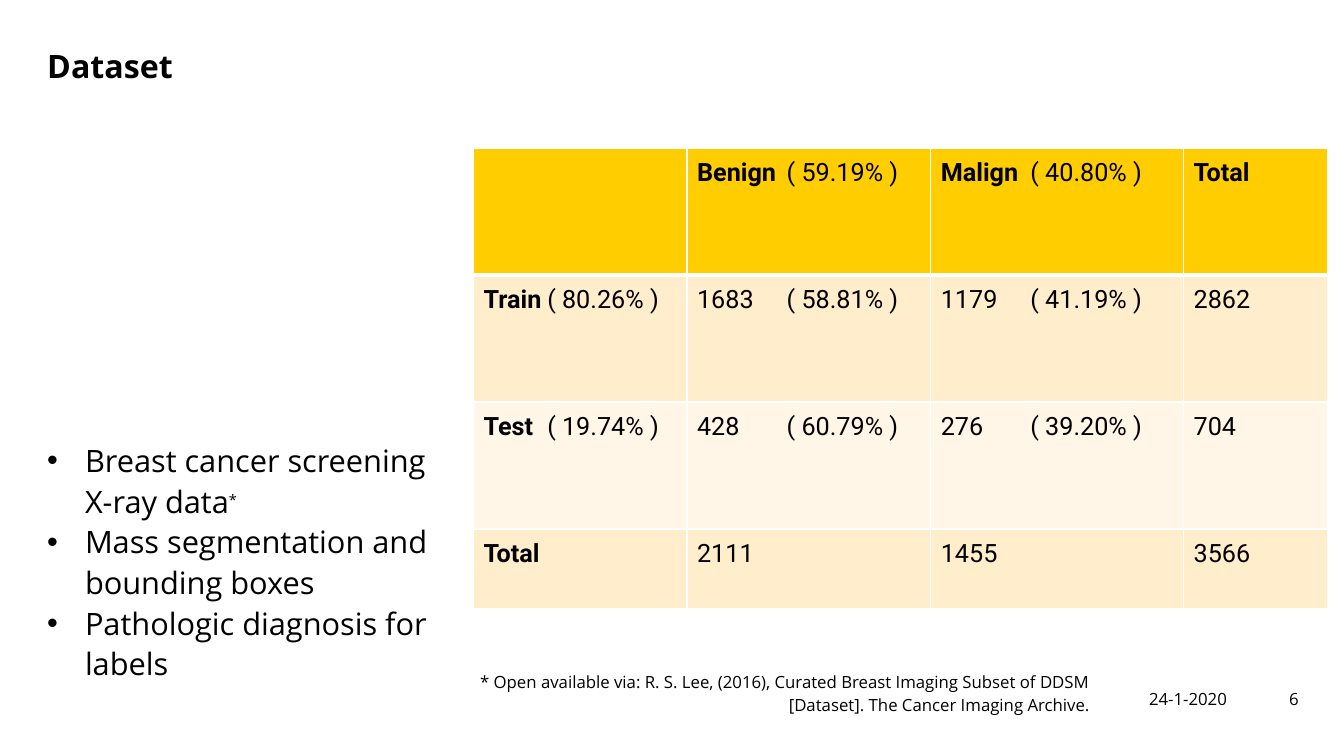
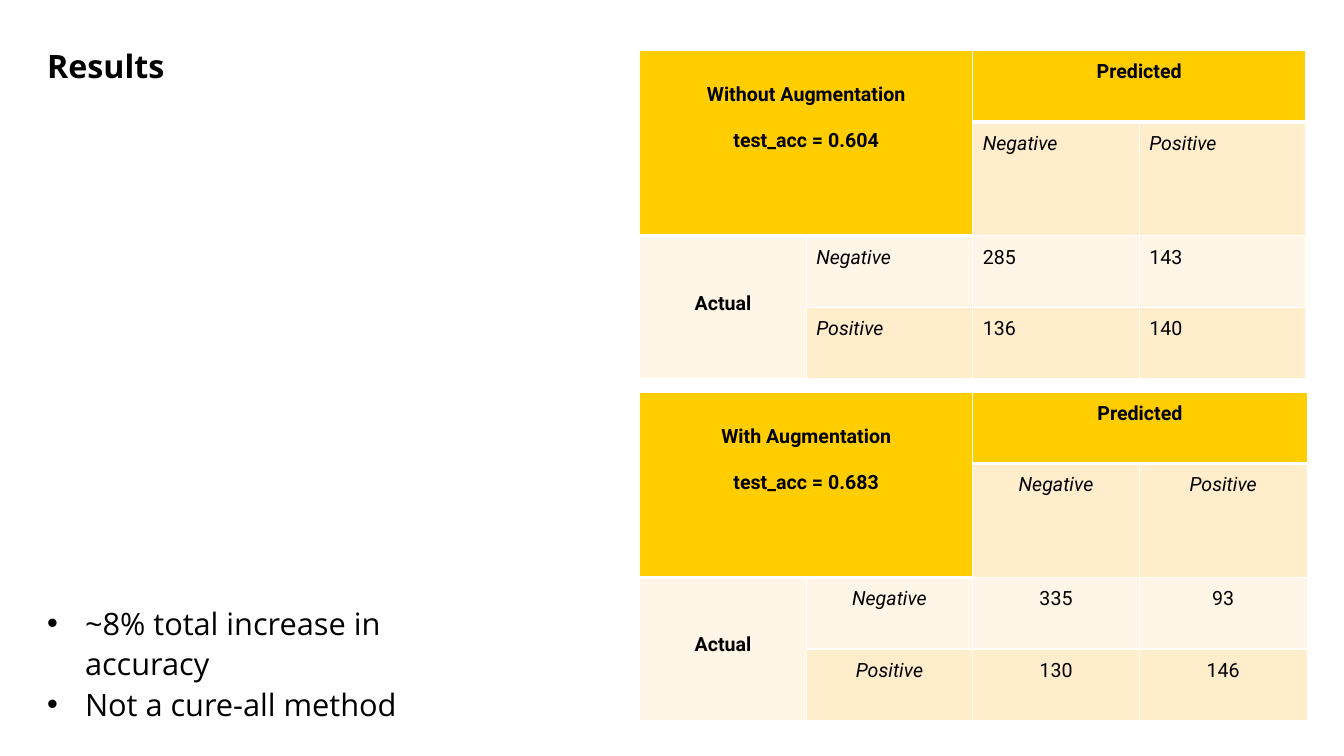
from pptx import Presentation
from pptx.dml.color import RGBColor
from pptx.enum.text import MSO_ANCHOR as ANCHOR, PP_ALIGN as ALIGN
from pptx.oxml.ns import qn
from pptx.util import Pt
from lxml.etree import SubElement, Element

BLACK = RGBColor(0x00, 0x00, 0x00)
GOLD = RGBColor(0xFF, 0xCD, 0x00)
PEACH = RGBColor(0xFF, 0xED, 0xCC)
CREAM = RGBColor(0xFF, 0xF6, 0xE7)
BORDER = "FFFFFF"
THIN, THICK = 1, 3

TITLE = dict(name="Open Sans", size=Pt(23), bold=True)
BODY = dict(name="Open Sans", size=Pt(22))
MARK = dict(name="Open Sans", size=Pt(18))
SMALL = dict(name="Open Sans", size=Pt(12))
COUNT = dict(name="Roboto", size=Pt(18), bold=False)
PLAIN = dict(name="Roboto", size=Pt(14), bold=False)
HEAD = dict(PLAIN, bold=True)
CLASS = dict(PLAIN, italic=True)

PANE_LEFT, PANE_WIDTH = 26.64, 286.56
BULLET_LINE = 29.2
HANG = 27
CELL_INSET = 7.2
MATRIX_LINE = 16.4

DATASET_POINTS = [
    "Breast cancer screening X-ray data*",
    "Mass segmentation and bounding boxes",
    "Pathologic diagnosis for labels",
]
RESULT_POINTS = ["~8% total increase in accuracy", "Not a cure-all method"]
CITATION = ("* Open available via: R. S. Lee, (2016), Curated Breast Imaging Subset "
            "of DDSM [Dataset]. The Cancer Imaging Archive.")

COUNTS = [
    ["", "Benign\t( 59.19% )", "Malign\t( 40.80% )", "Total"],
    ["Train\t( 80.26% )", "1683\t( 58.81% )", "1179\t( 41.19% )", "2862"],
    ["Test\t( 19.74% )", "428\t( 60.79% )", "276\t( 39.20% )", "704"],
    ["Total", "2111", "1455", "3566"],
]
COUNT_FILLS = [[fill] * 4 for fill in (GOLD, PEACH, CREAM, PEACH)]
COUNT_COLS = [152.6, 174.2, 180.7, 103]
COUNT_ROWS = [90.7, 90.7, 90.7, 57]
COUNT_TABS = [45.5, 64, 64, None]

CLASSES = ["Negative", "Positive"]
MATRICES = [
    dict(top=36, name="Without Augmentation", accuracy="test_acc = 0.604",
         counts=[[285, 143], [136, 140]], align=ALIGN.LEFT, last_col=119),
    dict(top=280, name="With Augmentation", accuracy="test_acc = 0.683",
         counts=[[335, 93], [130, 146]], align=ALIGN.CENTER, last_col=120),
]
MATRIX_FILLS = [[GOLD] * 4, [GOLD, GOLD, PEACH, PEACH],
                [CREAM] * 4, [CREAM, PEACH, PEACH, PEACH]]
MATRIX_ROWS = [51.1, 81.4, 51.1, 51.1]


def add_run(p, text, style):
    r = p.add_run()
    r.text = text
    for key, value in style.items():
        setattr(r.font, key, value)
    r.font.color.rgb = BLACK
    return r


def add_box(s, left, top, width, height, anchor=ANCHOR.TOP, insets=(0, 0, 0, 0)):
    tf = s.shapes.add_textbox(Pt(left), Pt(top), Pt(width), Pt(height)).text_frame
    tf.word_wrap = True
    tf.vertical_anchor = anchor
    for side, inset in zip(("left", "top", "right", "bottom"), insets):
        setattr(tf, f"margin_{side}", Pt(inset))
    return tf


def add_title(s, text):
    tf = add_box(s, PANE_LEFT, 29.5, PANE_WIDTH, 85, insets=(7.2, 3.6, 7.2, 3.6))
    add_run(tf.paragraphs[0], text, TITLE)


def add_bullets(s, points, bottom):
    """Bulleted list resting on the given bottom; a closing * is raised."""
    top = 131
    tf = add_box(s, PANE_LEFT, top, PANE_WIDTH, bottom - top, ANCHOR.BOTTOM,
                 (7.2, 3.6, 7.2, 0))
    for i, point in enumerate(points):
        p = tf.add_paragraph() if i else tf.paragraphs[0]
        p.line_spacing = 1.1
        pPr = p._p.get_or_add_pPr()
        pPr.set("marL", str(Pt(HANG)))
        pPr.set("indent", str(-Pt(HANG)))
        SubElement(pPr, qn("a:buFont")).set("typeface", "Arial")
        SubElement(pPr, qn("a:buChar")).set("char", "•")
        add_run(p, point.rstrip("*"), BODY)
        if point.endswith("*"):
            r = add_run(p, "*", MARK)
            r._r.get_or_add_rPr().set("baseline", "30000")


def add_small(s, text, left, top, width, height, spacing=1.0):
    p = add_box(s, left, top, width, height, ANCHOR.MIDDLE).paragraphs[0]
    p.alignment = ALIGN.RIGHT
    p.line_spacing = spacing
    add_run(p, text, SMALL)


def set_borders(cell, top, bottom):
    tcPr = cell._tc.get_or_add_tcPr()
    widths = dict(lnL=THIN, lnR=THIN, lnT=top, lnB=bottom)
    for i, (tag, width) in enumerate(widths.items()):
        ln = Element(qn(f"a:{tag}"))
        ln.set("w", str(Pt(width)))
        SubElement(SubElement(ln, qn("a:solidFill")), qn("a:srgbClr")).set("val", BORDER)
        tcPr.insert(i, ln)


def add_grid(s, left, top, cols, rows, fills):
    """Empty table with white rules, thick ones under the gold cells."""
    table = s.shapes.add_table(len(rows), len(cols), Pt(left), Pt(top),
                               Pt(sum(cols)), Pt(sum(rows))).table
    table.first_row = table.horz_banding = False
    for col, width in zip(table.columns, cols):
        col.width = Pt(width)
    for row, height in zip(table.rows, rows):
        row.height = Pt(height)
    for i, row_fills in enumerate(fills):
        for j, fill in enumerate(row_fills):
            cell = table.cell(i, j)
            cell.fill.solid()
            cell.fill.fore_color.rgb = fill
            for side in ("left", "top", "right", "bottom"):
                setattr(cell, f"margin_{side}", Pt(CELL_INSET))
            below_gold = i > 0 and fills[i - 1][j] == GOLD
            set_borders(cell, THICK if below_gold else THIN,
                        THICK if fill == GOLD else THIN)
    return table


def add_counts(s):
    table = add_grid(s, 338.4, 105.8, COUNT_COLS, COUNT_ROWS, COUNT_FILLS)
    for i, row in enumerate(COUNTS):
        for j, text in enumerate(row):
            label, tab, share = text.partition("\t")
            p = table.cell(i, j).text_frame.paragraphs[0]
            if tab:
                tabs = SubElement(p._p.get_or_add_pPr(), qn("a:tabLst"))
                SubElement(tabs, qn("a:tab"), pos=str(Pt(COUNT_TABS[j])), algn="l")
            if label:
                add_run(p, label, dict(COUNT, bold=i == 0 or j == 0))
            if share:
                add_run(p, tab + share, COUNT)


def write_cell(cell, lines, style, align, skipped=0):
    """Write lines one blank line apart, after a number of skipped lines."""
    if skipped:
        cell.margin_top = Pt(CELL_INSET + skipped * MATRIX_LINE)
        cell.margin_bottom = 0
    tf = cell.text_frame
    for i, line in enumerate(lines):
        p = tf.add_paragraph() if i else tf.paragraphs[0]
        p.alignment = align
        if i:
            p.space_before = Pt(MATRIX_LINE)
        add_run(p, line, style)


def add_matrix(s, top, name, accuracy, counts, align, last_col):
    table = add_grid(s, 457.2, top, [119, 119, 119, last_col], MATRIX_ROWS, MATRIX_FILLS)
    cell = table.cell
    for first, last in (((0, 0), (1, 1)), ((0, 2), (0, 3)), ((2, 0), (3, 0))):
        cell(*first).merge(cell(*last))
    write_cell(cell(0, 0), [name, accuracy], HEAD, ALIGN.CENTER, 1)
    write_cell(cell(0, 2), ["Predicted"], HEAD, ALIGN.CENTER)
    write_cell(cell(2, 0), ["Actual"], HEAD, ALIGN.CENTER, 2)
    for i, label in enumerate(CLASSES):
        write_cell(cell(1, 2 + i), [label], CLASS, align)
        write_cell(cell(2 + i, 1), [label], CLASS, align)
        for j, count in enumerate(counts[i]):
            write_cell(cell(2 + i, 2 + j), [str(count)], PLAIN, align)


def main():
    prs = Presentation()
    prs.slide_width, prs.slide_height = Pt(960.5), Pt(540)
    blank = prs.slide_layouts[6]
    bottom = 516.2

    s = prs.slides.add_slide(blank)
    add_title(s, "Dataset")
    add_bullets(s, DATASET_POINTS, bottom - BULLET_LINE)
    add_small(s, "24-1-2020", 811.4, 484.6, 65.5, 29)
    add_small(s, CITATION, 338.4, 478.5, 440.6, 32, 1.1)
    add_small(s, "6", 877.7, 484.6, 50.4, 29)
    add_counts(s)

    s = prs.slides.add_slide(blank)
    add_title(s, "Results")
    add_bullets(s, RESULT_POINTS, bottom)
    for matrix in MATRICES:
        add_matrix(s, **matrix)

    prs.save("out.pptx")


if __name__ == "__main__":
    main()
